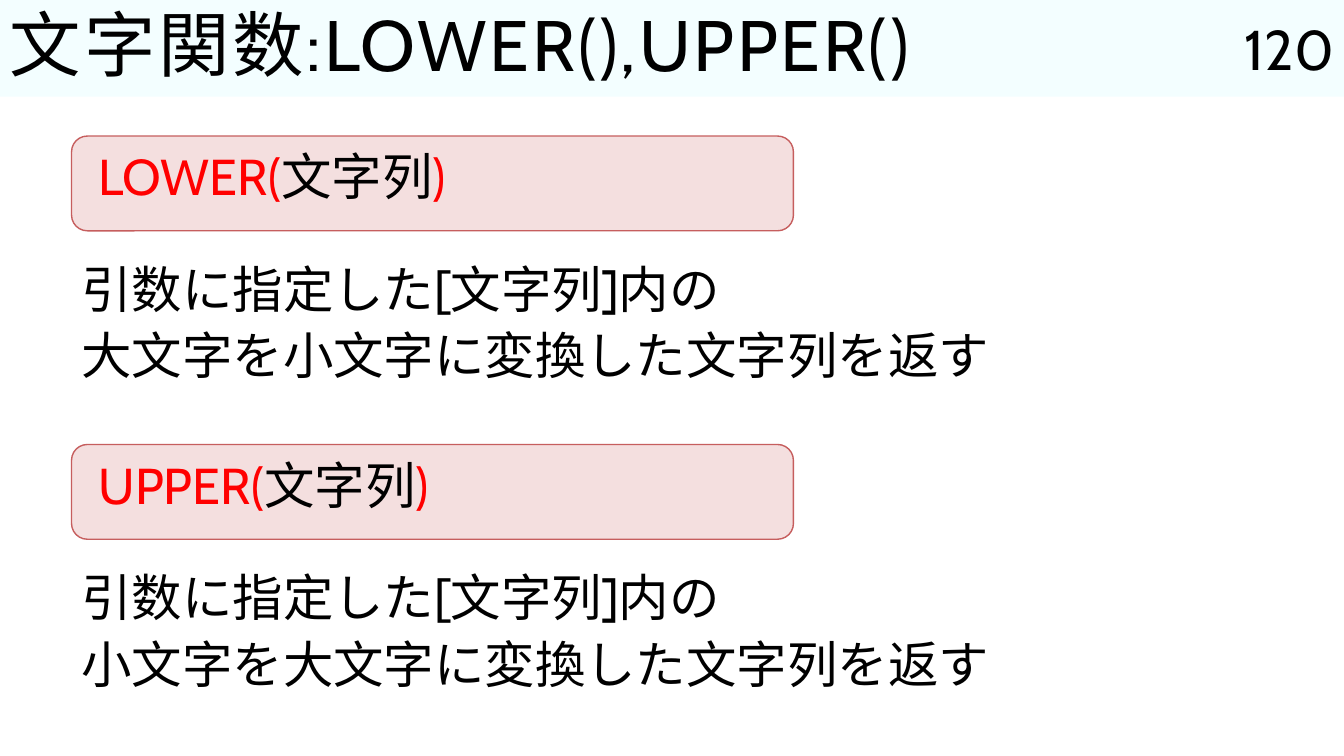
import pptx
import pptx.util
import pptx.dml.color
import pptx.enum.shapes
import pptx.enum.text
from dataclasses import dataclass
from pptx.util import Inches


@dataclass(frozen=True)
class Theme:
    latin: str = "Cabin"
    japanese: str = "Noto Sans CJK JP"
    ink: str = "000000"
    keyword: str = "FF0000"
    band: str = "F3FEFF"
    panel: str = "F4DFDF"
    panel_edge: str = "C65E5E"
    title_size: int = 51
    number_size: int = 40
    body_size: int = 36


theme = Theme()
color = pptx.dml.color.RGBColor.from_string
anchors = pptx.enum.text.MSO_ANCHOR
shapes = pptx.enum.shapes.MSO_SHAPE


def add_panel(parent, kind, left, top, width, height, fill):
    panel = parent.add_shape(kind, Inches(left), Inches(top), Inches(width), Inches(height))
    panel.shadow.inherit = False
    panel.fill.solid()
    panel.fill.fore_color.rgb = color(fill)
    panel.line.fill.background()
    return panel


def write(box, lines, size, anchor=anchors.TOP, spacing=1.0, align="LEFT", tracking=0):
    """Fill a box with one paragraph; each line is a list of (text, font, color)."""
    frame = box.text_frame
    frame.word_wrap = True
    frame.vertical_anchor = anchor
    para = frame.paragraphs[0]
    para.alignment = pptx.enum.text.PP_ALIGN[align]
    para.line_spacing = spacing
    para.space_before = pptx.util.Pt(0)
    for index, line in enumerate(lines):
        if index:
            para.add_line_break()
        for text, face, ink in line:
            span = para.add_run()
            span.text = text
            for name, value in {"name": face, "size": pptx.util.Pt(size)}.items():
                setattr(span.font, name, value)
            span.font.color.rgb = color(ink)
            properties = span.font._element
            if tracking:
                properties.set("spc", str(tracking * 100))
            east_asian = properties.makeelement(pptx.oxml.ns.qn("a:ea"), {"typeface": face})
            properties.find(pptx.oxml.ns.qn("a:latin")).addnext(east_asian)


deck = pptx.Presentation()
deck.slide_width, deck.slide_height = Inches(13.33), Inches(7.5)
page = deck.slides.add_slide(deck.slide_layouts[6])

title = add_panel(page.shapes, shapes.RECTANGLE, 0, 0, 13.33, 0.96, theme.band)
write(title, [[("文字関数:LOWER(),UPPER()", theme.latin, theme.ink)]],
      theme.title_size, anchors.MIDDLE, spacing=0.9, tracking=2)

number = page.shapes.add_textbox(Inches(11.83), Inches(0), Inches(1.5), Inches(0.96))
write(number, [[("120", theme.latin, theme.ink)]],
      theme.number_size, anchors.MIDDLE, align="RIGHT")

functions = [
    ("LOWER(", "大文字を小文字に変換した文字列を返す"),
    ("UPPER(", "小文字を大文字に変換した文字列を返す"),
]
for row, (opening, result) in enumerate(functions):
    top = 1.35 + row * 3.06
    syntax = page.shapes.add_group_shape()
    panel = add_panel(syntax.shapes, shapes.ROUNDED_RECTANGLE, 0.71, top, 7.16, 0.94, theme.panel)
    panel.line.color.rgb = color(theme.panel_edge)
    panel.line.width = pptx.util.Pt(1)
    label = syntax.shapes.add_textbox(Inches(0.88), Inches(top + 0.16), Inches(6.99), Inches(0.6))
    write(label, [[(opening, theme.latin, theme.keyword),
                   ("文字列", theme.japanese, theme.ink),
                   (")", theme.latin, theme.keyword)]], theme.body_size, spacing=0.8)

    description = page.shapes.add_textbox(Inches(0.71), Inches(top + 1.1), Inches(12.04), Inches(1.57))
    write(description, [[(text, theme.latin, theme.ink)]
                        for text in ("引数に指定した[文字列]内の", result)],
          theme.body_size, spacing=1.1)

deck.save("out.pptx")
